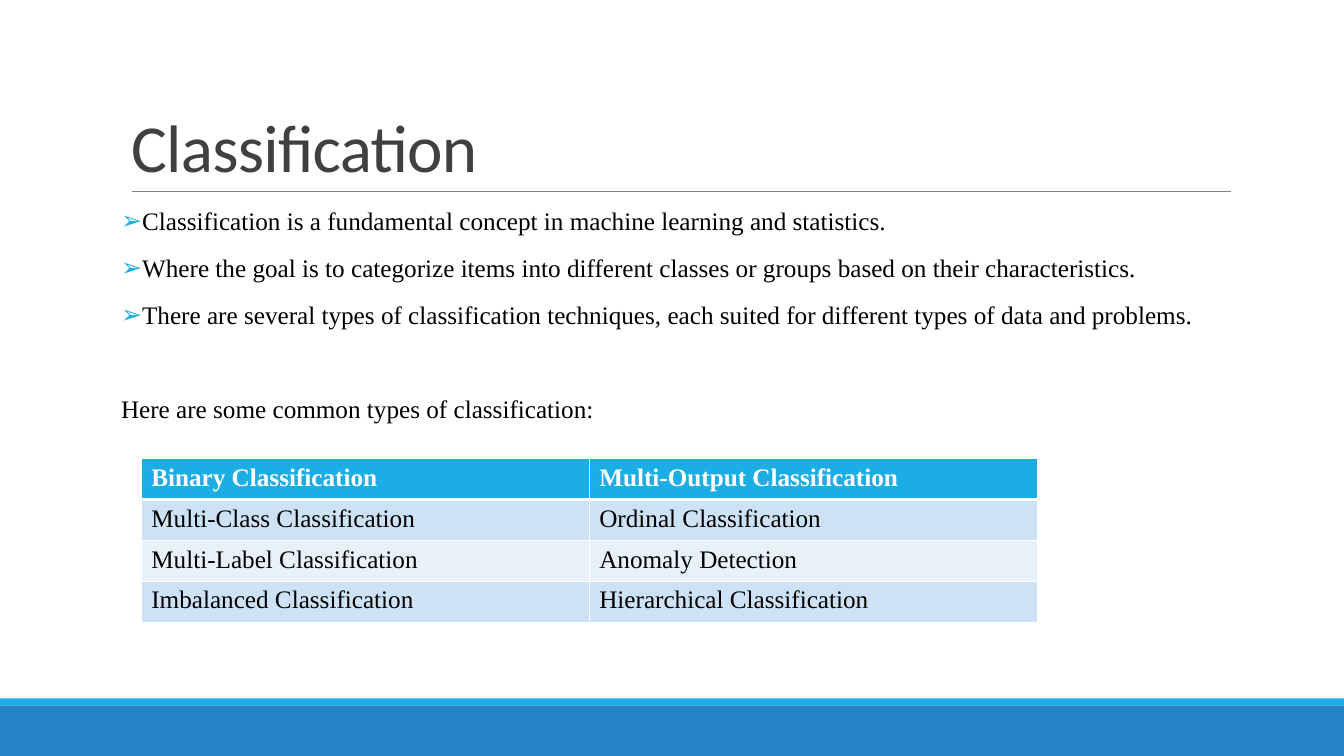
from dataclasses import dataclass

from lxml import etree
from pptx import Presentation
from pptx import util as u
from pptx.dml.color import RGBColor
from pptx.enum import shapes, text
from pptx.oxml.ns import qn


@dataclass(frozen=True)
class Theme:
    accent: str = "1CADE4"
    footer: str = "2683C6"
    rule: str = "808080"
    title: str = "404040"
    ink: str = "000000"
    white: str = "FFFFFF"
    bands: tuple = ("CDE3F5", "E8F1FA")
    title_font: str = "Calibri"
    body_font: str = "Times New Roman"
    title_size: int = 48
    body_size: int = 18


T = Theme()
WIDTH, HEIGHT = 33.87, 19.05

BULLETS = [
    "Classification is a fundamental concept in machine learning and statistics.",
    "Where the goal is to categorize items into different classes or groups "
    "based on their characteristics.",
    "There are several types of classification techniques, each suited for "
    "different types of data and problems.",
]
LEAD_IN = "Here are some common types of classification:"
TYPES = [
    ("Binary Classification", "Multi-Output Classification"),
    ("Multi-Class Classification", "Ordinal Classification"),
    ("Multi-Label Classification", "Anomaly Detection"),
    ("Imbalanced Classification", "Hierarchical Classification"),
]


def rgb(color):
    return RGBColor.from_string(color)


def place(sp, box):
    sp.left, sp.top, sp.width, sp.height = map(u.Cm, box)


def format_runs(p, font, size, color, bold=False):
    for r in p.runs:
        r.font.name, r.font.size, r.font.bold = font, u.Pt(size), bold
        r.font.color.rgb = rgb(color)


def add_solid(parent, color):
    fill = etree.SubElement(parent, qn("a:solidFill"))
    etree.SubElement(fill, qn("a:srgbClr"), val=color)


def set_bullet(p, char, color):
    pPr = p._p.get_or_add_pPr()
    pPr.set("marL", str(u.Cm(0.25)))
    pPr.set("indent", str(-u.Cm(0.25)))
    clr = etree.SubElement(pPr, qn("a:buClr"))
    etree.SubElement(clr, qn("a:srgbClr"), val=color)
    etree.SubElement(pPr, qn("a:buChar"), char=char)


def clear_bullet(p):
    pPr = p._p.get_or_add_pPr()
    pPr.set("marL", "0")
    pPr.set("indent", "0")
    etree.SubElement(pPr, qn("a:buNone"))


def set_borders(cell, color, **widths):
    tcPr = cell._tc.get_or_add_tcPr()
    for side in "LRTB":
        ln = etree.SubElement(tcPr, qn("a:ln" + side),
                              w=str(u.Pt(widths.get(side, 1))))
        add_solid(ln, color)


def add_footer(s, box):
    # Thin accent strip above the wide band
    left, top, width, height = box
    strip = 0.18
    for y, h, color in ((top, strip, T.accent),
                        (top + strip, height - strip, T.footer)):
        sp = s.shapes.add_shape(shapes.MSO_SHAPE.RECTANGLE,
                                *map(u.Cm, (left, y, width, h)))
        sp.shadow.inherit = False
        sp.fill.solid()
        sp.fill.fore_color.rgb = rgb(color)
        sp.line.fill.background()


def add_title(s, box):
    left, top, width, height = box
    sp = s.shapes.title
    place(sp, box)
    tf = sp.text_frame
    tf.text = "Classification"
    tf.auto_size = text.MSO_AUTO_SIZE.NONE
    tf.vertical_anchor = text.MSO_ANCHOR.BOTTOM
    p = tf.paragraphs[0]
    p.alignment, p.line_spacing = text.PP_ALIGN.LEFT, 0.85
    format_runs(p, T.title_font, T.title_size, T.title)
    p.runs[0].font._element.set("spc", "-50")

    # Rule along the bottom of the title
    y = u.Cm(top + height)
    rule = s.shapes.add_connector(shapes.MSO_CONNECTOR.STRAIGHT,
                                  u.Cm(left + 0.28), y,
                                  u.Cm(left + width + 0.02), y)
    rule.line.color.rgb = rgb(T.rule)
    rule.line.width = u.Pt(0.5)
    etree.SubElement(rule._element.spPr, qn("a:effectLst"))


def add_body(s, box):
    sp = s.placeholders[1]
    place(sp, box)
    tf = sp.text_frame
    tf.text = "\n".join(BULLETS + [LEAD_IN])
    tf.auto_size = text.MSO_AUTO_SIZE.NONE
    tf.margin_left = tf.margin_right = 0
    for p in tf.paragraphs:
        p.alignment, p.line_spacing = text.PP_ALIGN.JUSTIFY, 0.9
        p.space_before, p.space_after = u.Pt(12), u.Pt(2)
        format_runs(p, T.body_font, T.body_size, T.ink)
    *points, lead_in = tf.paragraphs
    for p in points:
        set_bullet(p, "➢", T.accent)
    lead_in.space_before = u.Pt(46)
    clear_bullet(lead_in)


def add_types_table(s, box):
    table = s.shapes.add_table(len(TYPES), len(TYPES[0]),
                               *map(u.Cm, box)).table
    for i, row in enumerate(TYPES):
        header = i == 0
        fill = T.accent if header else T.bands[(i - 1) % 2]
        heavy = {0: {"B": 3}, 1: {"T": 3}}.get(i, {})
        for j, label in enumerate(row):
            cell = table.cell(i, j)
            cell.text = label
            format_runs(cell.text_frame.paragraphs[0], T.body_font,
                        T.body_size, T.white if header else T.ink, header)
            set_borders(cell, T.white, **heavy)
            cell.fill.solid()
            cell.fill.fore_color.rgb = rgb(fill)


def build_slide(prs):
    s = prs.slides.add_slide(prs.slide_layouts[1])
    add_footer(s, (0, 17.6, WIDTH, HEIGHT - 17.6))
    add_title(s, (3.05, 0.79, 27.94, 4.04))
    add_body(s, (3.05, 5.13, 27.94, 11.18))
    add_types_table(s, (3.56, 11.56, 22.58, 4.12))


prs = Presentation()
prs.slide_width, prs.slide_height = u.Cm(WIDTH), u.Cm(HEIGHT)
build_slide(prs)
prs.save("out.pptx")
